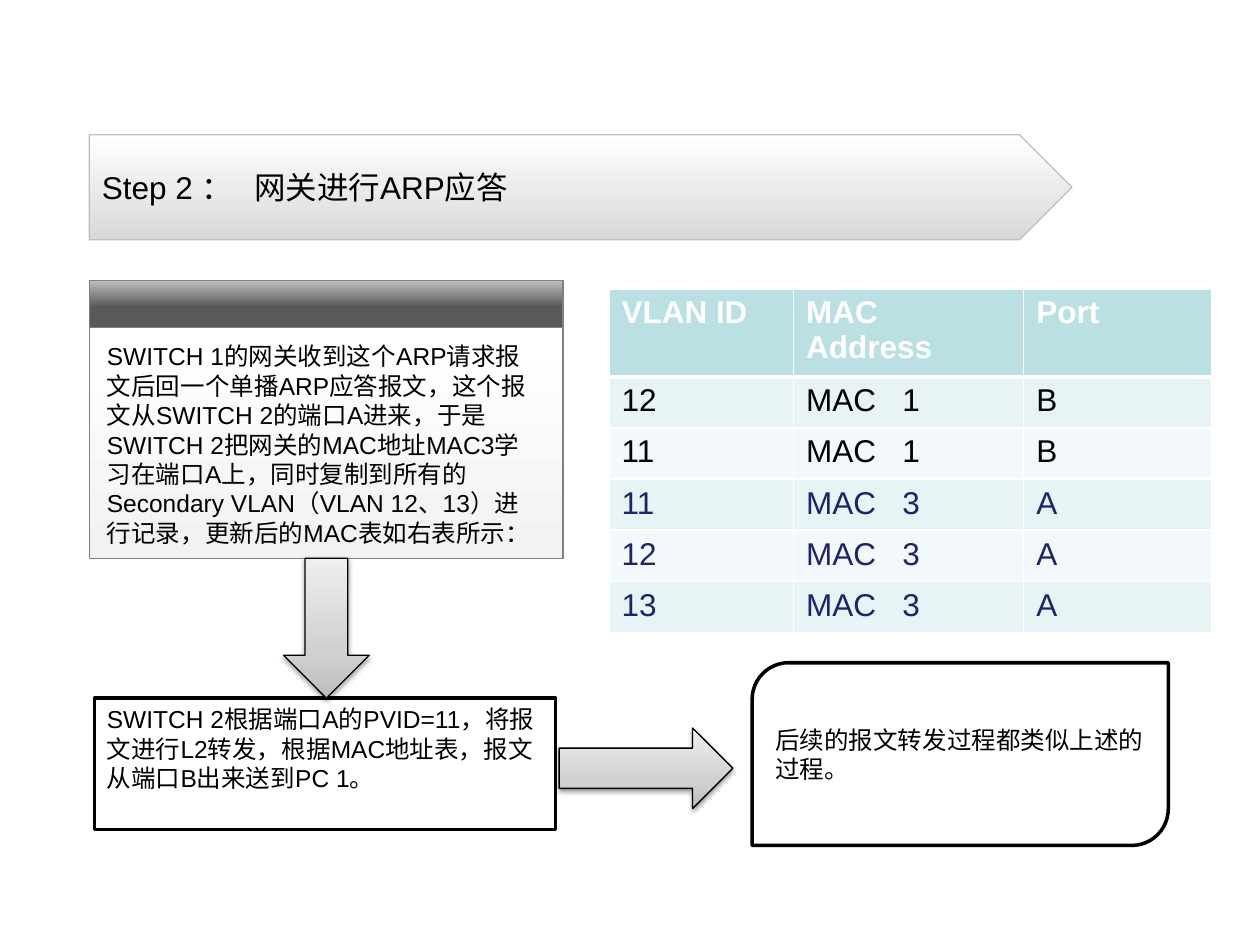
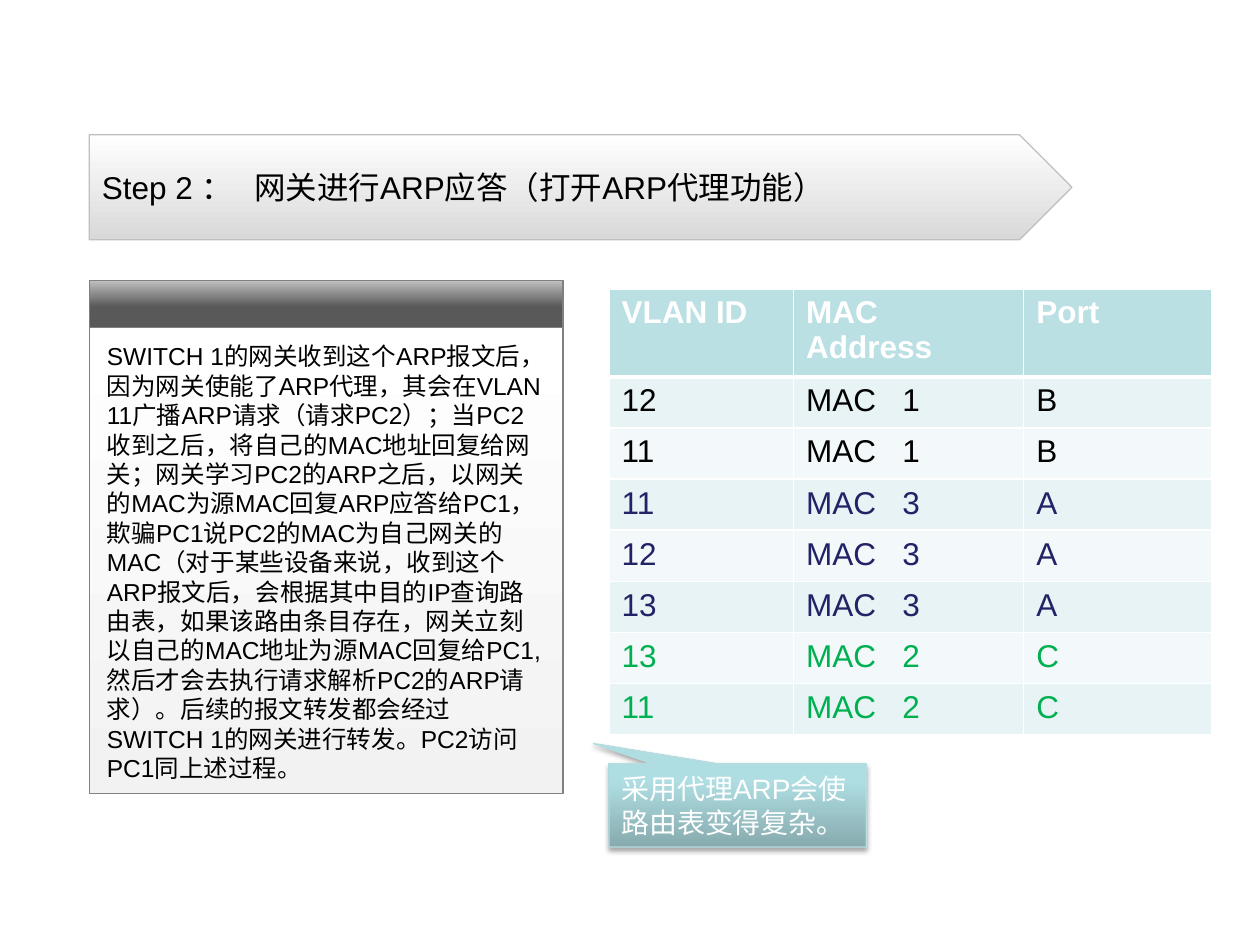
from lxml.etree import SubElement
from pptx import Presentation
from pptx.dml.color import RGBColor
from pptx.enum.lang import MSO_LANGUAGE_ID
from pptx.enum.shapes import MSO_SHAPE
from pptx.enum.text import MSO_ANCHOR, MSO_AUTO_SIZE, PP_ALIGN
from pptx.oxml.ns import qn
from pptx.util import Pt

BLACK, WHITE, NAVY, GREEN = "000000", "FFFFFF", "222267", "00B050"
GREY = "808080"
HEADER_FILL, ROW_FILLS = "BBE0E3", ("E7F3F4", "F3F9FA")
BANNER_STOPS = [(0, "FFFFFF"), (100, "D9D9D9")]
PANEL_STOPS = [(0, "F2F2F2"), (100, "FFFFFF")]
CAP_STOPS = [(44, "595959"), (100, "BFBFBF")]
ARROW_STOPS = [(0, "BDBDBD"), (35, "D1D1D1"), (100, "EEEEEE")]
CALLOUT_STOPS = [(0, "87ABAE"), (80, "AFDEE2"), (100, "AFE0E4")]

HEADERS = ["VLAN ID", "MAC\vAddress", "Port"]
MAC_ROWS = [
    ("12", "MAC\t1", "B", BLACK),
    ("11", "MAC\t1", "B", BLACK),
    ("11", "MAC\t3", "A", NAVY),
    ("12", "MAC\t3", "A", NAVY),
    ("13", "MAC\t3", "A", NAVY),
]
PROXY_ROWS = [("13", "MAC\t2", "C", GREEN), ("11", "MAC\t2", "C", GREEN)]

REPLY = {
    "title": "Step 2 ：\t网关进行ARP应答",
    "panel": "SWITCH 1的网关收到这个ARP请求报文后回一个单播ARP应答报文，这个报文从SWITCH 2的端口A进来，"
             "于是SWITCH 2把网关的MAC地址MAC3学习在端口A上，同时复制到所有的Secondary VLAN（VLAN 12、13）"
             "进行记录，更新后的MAC表如右表所示：",
    "panel_height": 131.8,
    "rows": MAC_ROWS,
}
PROXY = {
    "title": "Step 2 ：\t网关进行ARP应答（打开ARP代理功能）",
    "panel": "SWITCH 1的网关收到这个ARP报文后，因为网关使能了ARP代理，其会在VLAN 11广播ARP请求（请求PC2）；"
             "当PC2收到之后，将自己的MAC地址回复给网关；网关学习PC2的ARP之后，以网关的MAC为源MAC回复ARP应答给PC1，"
             "欺骗PC1说PC2的MAC为自己网关的MAC（对于某些设备来说，收到这个ARP报文后，会根据其中目的IP查询路由表，"
             "如果该路由条目存在，网关立刻以自己的MAC地址为源MAC回复给PC1,然后才会去执行请求解析PC2的ARP请求）。"
             "后续的报文转发都会经过SWITCH 1的网关进行转发。PC2访问PC1同上述过程。",
    "panel_height": 266.4,
    "rows": MAC_ROWS + PROXY_ROWS,
}
FORWARD_TEXT = "SWITCH 2根据端口A的PVID=11，将报文进行L2转发，根据MAC地址表，报文从端口B出来送到PC 1。"
FOLLOWING_TEXT = "后续的报文转发过程都类似上述的过程。"
CALLOUT_TEXT = "采用代理ARP会使路由表变得复杂。"

BANNER = (51, 77, 561.6, 60)
PANEL_LEFT, PANEL_WIDTH, CAP_TOP, CAP_HEIGHT = 51, 270.7, 160.3, 26.9
PANEL_TOP = CAP_TOP + CAP_HEIGHT
TEXT_LEFT, TEXT_WIDTH, TEXT_TOP = 54, 263.5, 191.5
TABLE_LEFT, TABLE_TOP = 348, 165
COLUMN_WIDTHS = (105.5, 131.5, 107.5)
HEADER_HEIGHT, ROW_HEIGHT = 50.4, 29.2


def color(value):
    return RGBColor.from_string(value)


def write(frame, text, size, ink, bold=False, anchor=MSO_ANCHOR.TOP, tab=None):
    frame.text = text
    frame.word_wrap = True
    frame.auto_size = MSO_AUTO_SIZE.NONE
    frame.vertical_anchor = anchor
    format_text(frame.paragraphs[0], size, ink, bold, tab)


def format_text(para, size, ink, bold=False, tab=None):
    para.alignment = PP_ALIGN.LEFT
    if tab:
        tabs = SubElement(para._p.get_or_add_pPr(), qn("a:tabLst"))
        SubElement(tabs, qn("a:tab"), pos=str(Pt(tab)), algn="l")
    for span in para.runs:
        span.font.name = "Arial"
        span.font.size = Pt(size)
        span.font.bold = bold
        span.font.color.rgb = color(ink)
        span.font.language_id = MSO_LANGUAGE_ID.SIMPLIFIED_CHINESE


def add_box(page, kind, place, fill, line, width=0.75, angle=90):
    box = page.shapes.add_shape(kind, *map(Pt, place))
    box.shadow.inherit = False
    box.line.color.rgb = color(line)
    box.line.width = Pt(width)
    if isinstance(fill, str):
        box.fill.solid()
        box.fill.fore_color.rgb = color(fill)
        return box
    box.fill.gradient()
    box.fill.gradient_angle = angle
    stops = box._element.spPr.find(qn("a:gradFill")).find(qn("a:gsLst"))
    for stop in list(stops):
        stops.remove(stop)
    for position, value in fill:
        stop = SubElement(stops, qn("a:gs"), pos=str(position * 1000))
        SubElement(stop, qn("a:srgbClr"), val=value)
    return box


def add_shadow(box, opacity, distance):
    effects = box._element.spPr.find(qn("a:effectLst"))
    shadow = SubElement(effects, qn("a:outerShdw"), blurRad=str(Pt(3.1)),
                        dist=str(Pt(distance)), dir="5400000", rotWithShape="0")
    tint = SubElement(shadow, qn("a:srgbClr"), val=BLACK)
    SubElement(tint, qn("a:alpha"), val=str(opacity * 1000))


def add_borders(cell, top, bottom):
    properties = cell._tc.get_or_add_tcPr()
    sides = [("a:lnL", 1), ("a:lnR", 1), ("a:lnT", top), ("a:lnB", bottom)]
    for index, (side, width) in enumerate(sides):
        border = SubElement(properties, qn(side), w=str(Pt(width)))
        SubElement(SubElement(border, qn("a:solidFill")), qn("a:srgbClr"), val=WHITE)
        properties.insert(index, border)


def add_mac_table(page, rows):
    height = HEADER_HEIGHT + ROW_HEIGHT * len(rows)
    table = page.shapes.add_table(len(rows) + 1, len(HEADERS), Pt(TABLE_LEFT), Pt(TABLE_TOP),
                                  Pt(sum(COLUMN_WIDTHS)), Pt(height)).table
    for column, width in zip(table.columns, COLUMN_WIDTHS):
        column.width = Pt(width)
    for number, (*texts, ink) in enumerate([(*HEADERS, WHITE)] + rows):
        header = number == 0
        table.rows[number].height = Pt(HEADER_HEIGHT if header else ROW_HEIGHT)
        for position, text in enumerate(texts):
            cell = table.cell(number, position)
            cell.text_frame.text = text
            format_text(cell.text_frame.paragraphs[0], 18, ink, header,
                        55 if "\t" in text else None)
            cell.fill.solid()
            cell.fill.fore_color.rgb = color(HEADER_FILL if header else ROW_FILLS[(number - 1) % 2])
            add_borders(cell, 3 if number == 1 else 1, 3 if header else 1)


def add_step_page(deck, content):
    page = deck.slides.add_slide(deck.slide_layouts[5])
    add_box(page, MSO_SHAPE.PENTAGON, BANNER, BANNER_STOPS, "BFBFBF", angle=270)
    title = page.shapes.title
    page.shapes._spTree.append(title._element)
    title.left, title.top, title.width, title.height = map(Pt, BANNER)
    write(title.text_frame, content["title"], 18, BLACK, anchor=MSO_ANCHOR.MIDDLE, tab=87)
    add_mac_table(page, content["rows"])
    height = content["panel_height"]
    add_box(page, MSO_SHAPE.RECTANGLE, (PANEL_LEFT, PANEL_TOP, PANEL_WIDTH, height),
            PANEL_STOPS, GREY)
    body = page.shapes.add_textbox(*map(Pt, (TEXT_LEFT, TEXT_TOP, TEXT_WIDTH, height - 6)))
    write(body.text_frame, content["panel"], 14, BLACK)
    add_box(page, MSO_SHAPE.RECTANGLE, (PANEL_LEFT, CAP_TOP, PANEL_WIDTH, CAP_HEIGHT),
            CAP_STOPS, GREY)
    return page


def add_forwarding(page):
    forward = add_box(page, MSO_SHAPE.RECTANGLE, (TEXT_LEFT, 399, TEXT_WIDTH, 75), WHITE, BLACK, 2)
    write(forward.text_frame, FORWARD_TEXT, 14, BLACK)
    for kind, place in [(MSO_SHAPE.DOWN_ARROW, (162, 319, 49, 80)),
                        (MSO_SHAPE.RIGHT_ARROW, (319.5, 416, 99.3, 46))]:
        add_shadow(add_box(page, kind, place, ARROW_STOPS, BLACK), 38, 1.6)
    following = add_box(page, MSO_SHAPE.ROUND_2_DIAG_RECTANGLE, (429.8, 378.7, 237.8, 104.4),
                        WHITE, BLACK, 2)
    following.adjustments[0] = 0.2
    write(following.text_frame, FOLLOWING_TEXT, 14, BLACK, anchor=MSO_ANCHOR.MIDDLE)


def add_callout(page):
    callout = add_box(page, MSO_SHAPE.RECTANGULAR_CALLOUT, (TABLE_LEFT, 436.3, 147, 47.7),
                      CALLOUT_STOPS, "B6DCDF")
    callout.adjustments[0], callout.adjustments[1] = -0.56, -0.74
    add_shadow(callout, 35, 1.8)
    write(callout.text_frame, CALLOUT_TEXT, 16, WHITE, anchor=MSO_ANCHOR.MIDDLE)


def main():
    deck = Presentation()
    deck.slide_width, deck.slide_height = Pt(720), Pt(540)
    add_forwarding(add_step_page(deck, REPLY))
    add_callout(add_step_page(deck, PROXY))
    deck.save("out.pptx")


if __name__ == "__main__":
    main()
